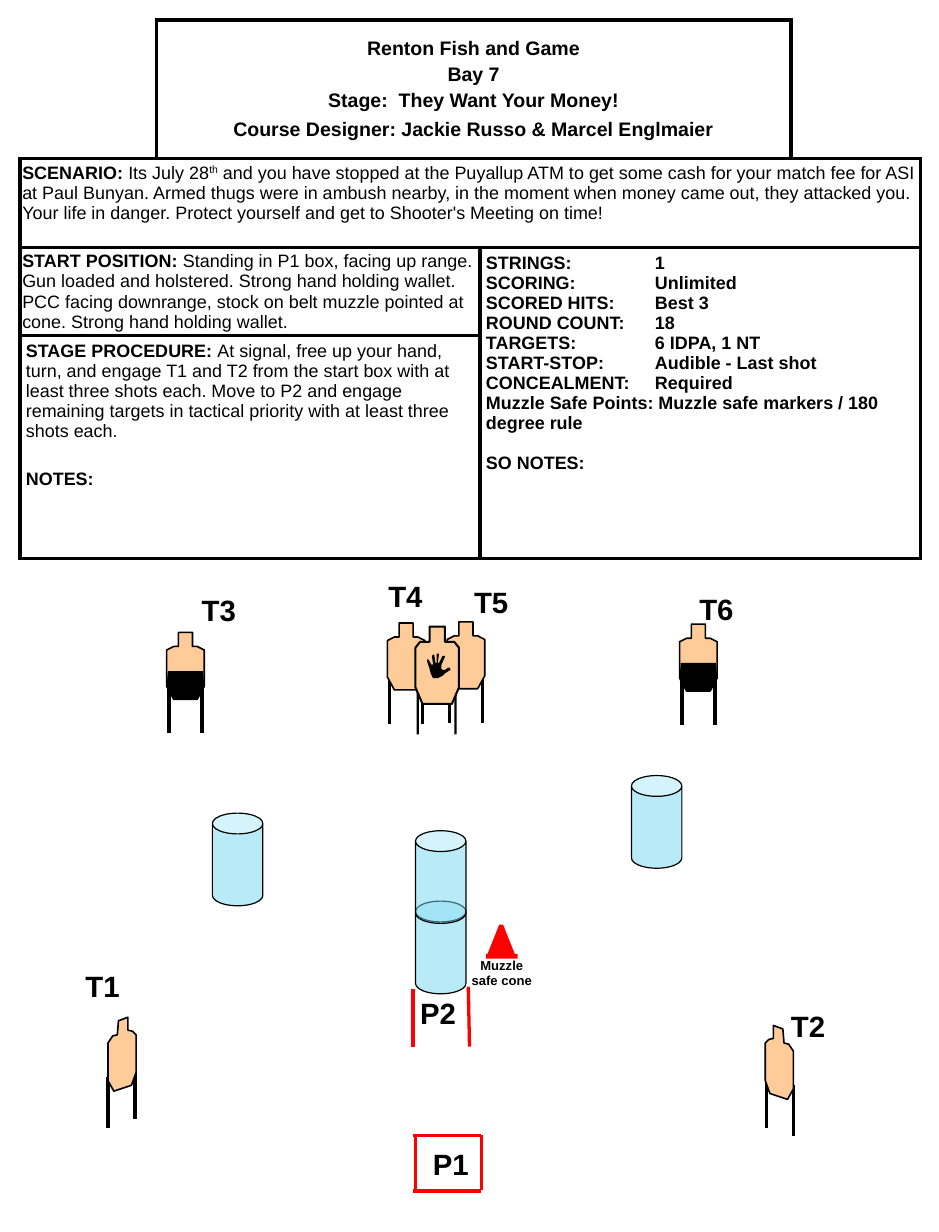
from lxml.etree import SubElement
from pptx import Presentation
from pptx.dml.color import RGBColor
from pptx.enum.shapes import MSO_CONNECTOR, MSO_SHAPE
from pptx.enum.text import MSO_ANCHOR as ANCHOR, PP_ALIGN as ALIGN
from pptx.oxml.ns import qn
from pptx.util import Pt

PX = 9144  # 100 px to the inch
THEME = {
    "font": "Arial", "black": "000000", "white": "FFFFFF", "red": "FF0000",
    "tan": "FFCC99", "no_shoot": "FDCC99", "barrel": "73D9F1",
    "title": 12, "body": 11, "label": 18, "small": 8, "border": 2.25,
}
BLACK, WHITE, RED = THEME["black"], THEME["white"], THEME["red"]

presentation = Presentation()
presentation.slide_width, presentation.slide_height = 800 * PX, 1050 * PX
slide = presentation.slides.add_slide(presentation.slide_layouts[6])


def write(frame, text, *, size=THEME["body"], bold=True, align=ALIGN.LEFT,
          before=0, same_line=False, superscript=False, tab=None):
    """Add a run, in a new paragraph unless same_line is set or the frame is empty."""
    paragraph = frame.paragraphs[-1]
    if paragraph.runs and not same_line:
        paragraph = frame.add_paragraph()
    if not same_line:
        paragraph.alignment = align
        if before:
            paragraph.space_before = Pt(before)
        if tab:
            tabs = SubElement(paragraph._p.get_or_add_pPr(), qn("a:tabLst"))
            SubElement(tabs, qn("a:tab"), pos=str(tab * PX), algn="l")
    run = paragraph.add_run()
    run.text = text
    run.font.name, run.font.size, run.font.bold = THEME["font"], Pt(size), bold
    run.font.color.rgb = RGBColor.from_string(BLACK)
    if superscript:
        run._r.get_or_add_rPr().set("baseline", "30000")


def draw(kind, geometry, *, fill=None, line=None, width=1, alpha=None):
    """Draw a "line" (x1, y1, x2, y2), an "outline" (points) or a preset (x, y, w, h)."""
    if kind == "line":
        shape = slide.shapes.add_connector(MSO_CONNECTOR.STRAIGHT, *[n * PX for n in geometry])
    elif kind == "outline":
        builder = slide.shapes.build_freeform(*geometry[0], scale=PX)
        builder.add_line_segments(geometry[1:], close=True)
        shape = builder.convert_to_shape()
    else:
        shape = slide.shapes.add_shape(kind, *[n * PX for n in geometry])
    if fill:
        shape.fill.solid()
        shape.fill.fore_color.rgb = RGBColor.from_string(fill)
        if alpha:
            color = shape.fill._xPr.find(qn("a:solidFill"))[0]
            SubElement(color, qn("a:alpha"), val=str(alpha * 1000))
    if line:
        shape.line.color.rgb = RGBColor.from_string(line)
        shape.line.width = Pt(width)
    else:
        shape.line.fill.background()
    if kind == "line":
        SubElement(shape._element.spPr, qn("a:effectLst"))
    else:
        shape.shadow.inherit = False
    return shape


# Stage description table
columns, rows = [116, 276, 265, 110], [118, 76, 75, 190]
table = slide.shapes.add_table(4, 4, 17 * PX, 17 * PX, sum(columns) * PX, sum(rows) * PX).table
table.first_row = table.horz_banding = False
for column, width in zip(table.columns, columns):
    column.width = width * PX
for row, height in zip(table.rows, rows):
    row.height = height * PX

open_sides = {(0, 0): "LT", (0, 3): "RT"}
for r in range(4):
    for c in range(4):
        cell = table.cell(r, c)
        properties = cell._tc.get_or_add_tcPr()
        for side in "LRTB":
            border = SubElement(properties, qn(f"a:ln{side}"), w=str(Pt(THEME["border"])))
            if side in open_sides.get((r, c), ""):
                SubElement(border, qn("a:noFill"))
            else:
                SubElement(SubElement(border, qn("a:solidFill")), qn("a:srgbClr"), val=BLACK)
        cell.fill.solid()
        cell.fill.fore_color.rgb = RGBColor.from_string(WHITE)

# name: first cell, last cell, side margin, top margin
regions = {
    "heading": ((0, 1), (0, 2), 5, 5), "scenario": ((1, 0), (1, 3), 2, 4),
    "start": ((2, 0), (2, 1), 2, 3), "rules": ((2, 2), (3, 3), 5, 5),
    "procedure": ((3, 0), (3, 1), 5, 5),
}
frames = {}
for name, (first, last, side, top) in regions.items():
    cell = table.cell(*first)
    cell.merge(table.cell(*last))
    cell.margin_left = cell.margin_right = side * PX
    cell.margin_top = cell.margin_bottom = top * PX
    frames[name] = cell.text_frame
table.cell(0, 1).vertical_anchor = ANCHOR.MIDDLE

for text, before in [("Renton Fish and Game", 0), ("Bay 7", 2.4),
                     ("Stage:  They Want Your Money!", 2.4),
                     ("Course Designer: Jackie Russo & Marcel Englmaier", 4.2)]:
    write(frames["heading"], text, size=THEME["title"], align=ALIGN.CENTER, before=before)

scenario = frames["scenario"]
write(scenario, "SCENARIO: ")
write(scenario, "Its July 28", bold=False, same_line=True)
write(scenario, "th", bold=False, same_line=True, superscript=True)
write(scenario, " and you have stopped at the Puyallup ATM to get some cash for your match fee "
      "for ASI at Paul Bunyan. Armed thugs were in ambush nearby, in the moment when money came "
      "out, they attacked you. Your life in danger. Protect yourself and get to Shooter's Meeting "
      "on time!", bold=False, same_line=True)

write(frames["start"], "START POSITION: ")
write(frames["start"], "Standing in P1 box, facing up range. Gun loaded and holstered. "
      "Strong hand holding wallet.", bold=False, same_line=True)
write(frames["start"], "PCC facing downrange, stock on belt muzzle pointed at cone. "
      "Strong hand holding wallet.", bold=False, before=0.55)

for label, value in [("STRINGS", "1"), ("SCORING", "Unlimited"), ("SCORED HITS", "Best 3"),
                     ("ROUND COUNT", "18"), ("TARGETS", "6 IDPA, 1 NT"),
                     ("START-STOP", "Audible - Last shot"), ("CONCEALMENT", "Required")]:
    write(frames["rules"], f"{label}:\t{value}", tab=144)
write(frames["rules"], "Muzzle Safe Points: Muzzle safe markers / 180 degree rule")
write(frames["rules"], "SO NOTES:", before=12.5)

write(frames["procedure"], "STAGE PROCEDURE: ")
write(frames["procedure"], "At signal, free up your hand, turn, and engage T1 and T2 from the "
      "start box with at least three shots each. Move to P2 and engage remaining targets in "
      "tactical priority with at least three shots each.", bold=False, same_line=True)
write(frames["procedure"], "NOTES:", before=17)

# Muzzle safe cone
draw(MSO_SHAPE.ISOSCELES_TRIANGLE, (415, 784, 24, 30), fill=RED)
draw(MSO_SHAPE.RECTANGLE, (421, 784, 12, 4), fill=WHITE)
draw(MSO_SHAPE.RECTANGLE, (414, 813, 27, 4), fill=RED)

# Shooting positions: P2 side lines, then the P1 box
for ends in [(352, 843, 352, 892), (400, 892, 399, 841), (410, 968, 352, 968),
             (410, 967, 410, 1014), (354, 967, 354, 1014), (410, 1015, 352, 1015)]:
    draw("line", ends, line=RED, width=2)

# Angled targets T1 and T2, mirrored
ANGLED = [(9, 3), (17, 0), (17, 11), (21, 12), (24, 15), (24, 47), (20, 58), (5, 63),
          (0, 54), (0, 22), (4, 16), (8, 15)]
for left, top, mirrored in [(652, 874, True), (92, 867, False)]:
    for x, y in [(0, 51), (23, 44)]:
        x = left + (24 - x if mirrored else x)
        draw("line", (x, top + y, x, top + y + 43), line=BLACK, width=THEME["border"])
    draw("outline", [(left + (24 - x if mirrored else x), top + y) for x, y in ANGLED],
         fill=THEME["tan"], line=BLACK)

# Front-facing targets T4, T3, T6, T5; T3 and T6 have hard cover
FRONT = [(10, 0), (22, 0), (22, 12), (26, 12), (32, 15), (32, 46), (26, 57), (6, 57),
         (0, 46), (0, 15), (6, 12), (10, 12)]
HARD_COVER = [(1, 33), (31, 33), (32, 46), (26, 57), (6, 57), (0, 46)]
for left, top, covered in [(330, 531, False), (142, 539, True), (579, 532, True),
                           (381, 530, False)]:
    for x in (left + 2, left + 30):
        draw("line", (x, top + 42, x, top + 86), line=BLACK, width=THEME["border"])
    draw("outline", [(left + x, top + y) for x, y in FRONT], fill=THEME["tan"], line=BLACK)
    if covered:
        draw("outline", [(left + x, top + y) for x, y in HARD_COVER], fill=BLACK)

# No-shoot target with a hand
for x in (387, 355):
    draw(MSO_SHAPE.RECTANGLE, (x, 583, 2, 43), fill=BLACK)
draw("outline", [(366, 534), (366, 547), (358, 547), (354, 552), (354, 586), (360, 600),
                 (385, 600), (391, 586), (391, 552), (387, 547), (379, 547), (379, 534)],
     fill=THEME["no_shoot"], line=BLACK, width=1.25)
draw("outline", [(377, 576), (375, 577), (373, 578), (369, 578), (368, 576), (367, 574),
                 (366, 570), (365, 567), (364, 564), (364, 562), (365, 562), (368, 567),
                 (369, 566), (368, 559), (369, 558), (370, 558), (371, 565), (372, 565),
                 (372, 557), (374, 557), (374, 558), (373, 565), (374, 565), (377, 559),
                 (379, 559), (379, 560), (376, 567), (376, 570), (377, 571), (379, 571),
                 (382, 569), (383, 569), (384, 571), (382, 572), (379, 574)], fill=BLACK)

# Barrels
for left, top in [(354, 768), (354, 708), (181, 693), (538, 661)]:
    barrel = draw(MSO_SHAPE.CAN, (left, top, 43, 79), fill=THEME["barrel"], alpha=50,
                  line=BLACK, width=0.75)
    barrel.adjustments[0] = 0.413

# Labels
label, small = THEME["label"], THEME["small"]
for text, left, top, width, height, size, align in [
    ("P1", 359, 972, 58, 40, label, ALIGN.LEFT), ("P2", 348, 843, 58, 40, label, ALIGN.LEFT),
    ("T1", 63, 820, 58, 40, label, ALIGN.LEFT), ("T2", 664, 854, 58, 40, label, ALIGN.LEFT),
    ("T3", 162, 500, 58, 40, label, ALIGN.LEFT), ("T4", 321, 488, 58, 40, label, ALIGN.LEFT),
    ("T5", 394, 493, 58, 40, label, ALIGN.LEFT), ("T6", 586, 499, 58, 40, label, ALIGN.LEFT),
    ("Muzzle safe cone", 390, 811, 75, 37, small, ALIGN.CENTER),
]:
    box = slide.shapes.add_textbox(left * PX, top * PX, width * PX, height * PX)
    box.text_frame.word_wrap = True
    write(box.text_frame, text, size=size, align=align)

presentation.save("out.pptx")
